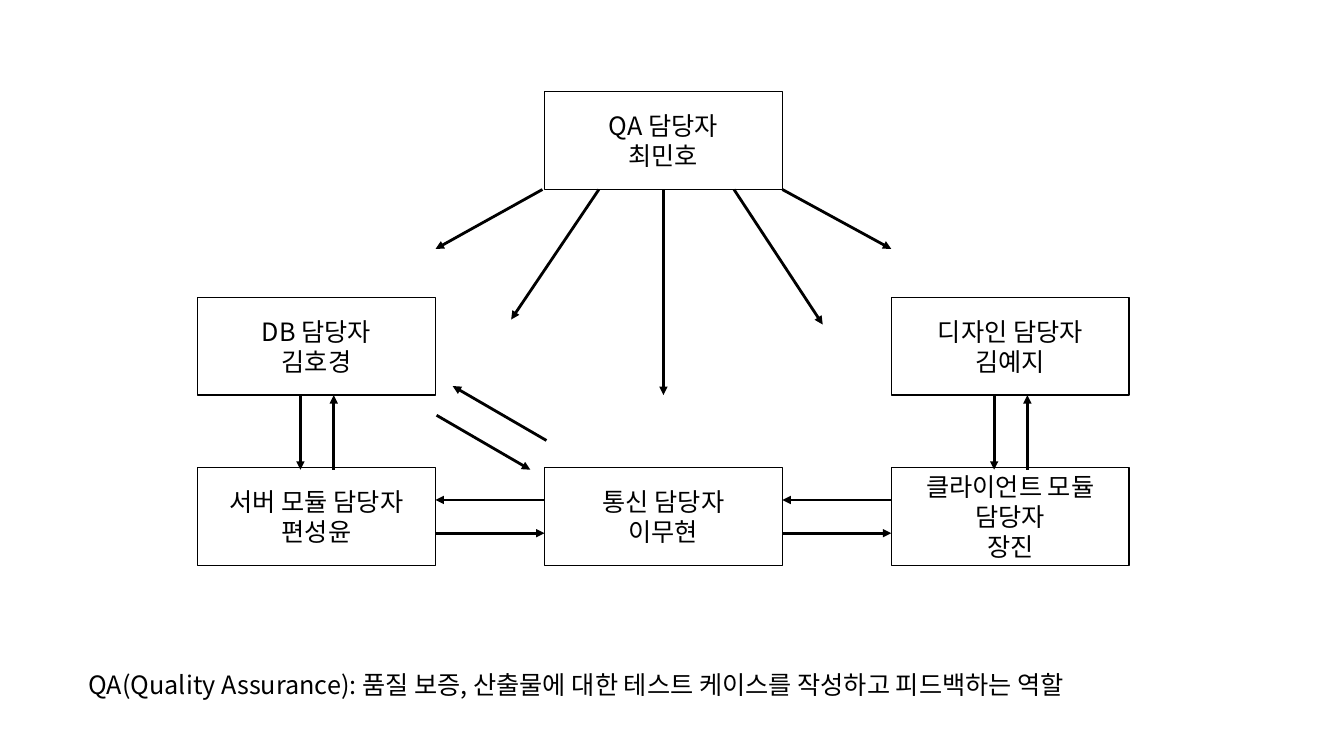
from lxml.etree import SubElement
from pptx import Presentation
from pptx.dml.color import RGBColor
from pptx.enum.shapes import MSO_CONNECTOR, MSO_SHAPE
from pptx.enum.text import MSO_ANCHOR, MSO_AUTO_SIZE, PP_ALIGN
from pptx.oxml.ns import qn
from pptx.util import Pt

SCALE = 9144
FONT = "Noto Sans CJK KR"
BLACK = "000000"
WHITE = "FFFFFF"
COLS = (196, 540, 884)
TOP, MID, LOW = 91, 295, 464
WIDE, HIGH = 236, 97


def px(*sizes):
    return [size * SCALE for size in sizes]


def paint(color, value):
    color.rgb = RGBColor.from_string(value)


def write(frame, text, align):
    frame.word_wrap = True
    frame.text = text
    for para in frame.paragraphs:
        para.alignment = align
        for run in para.runs:
            run.font.size = Pt(18)
            run.font.name = FONT
            paint(run.font.color, BLACK)
            SubElement(run.font._element, qn("a:ea"), typeface=FONT)


def add_box(slide, left, top, text):
    box = slide.shapes.add_shape(MSO_SHAPE.RECTANGLE, *px(left, top, WIDE, HIGH))
    box.shadow.inherit = False
    box.fill.solid()
    paint(box.fill.fore_color, WHITE)
    box.line.width = Pt(1)
    paint(box.line.color, BLACK)
    box.text_frame.vertical_anchor = MSO_ANCHOR.MIDDLE
    write(box.text_frame, text, PP_ALIGN.CENTER)
    return box


def add_arrow(slide, *ends):
    arrow = slide.shapes.add_connector(MSO_CONNECTOR.STRAIGHT, *px(*ends))
    arrow.line.width = Pt(2)
    paint(arrow.line.color, BLACK)
    SubElement(arrow.line._get_or_add_ln(), qn("a:tailEnd"), type="triangle")
    SubElement(arrow._element.spPr, qn("a:effectLst"))
    return arrow


def add_note(slide, left, top, width, height, text):
    note = slide.shapes.add_textbox(*px(left, top, width, height))
    write(note.text_frame, text, PP_ALIGN.LEFT)
    note.text_frame.auto_size = MSO_AUTO_SIZE.SHAPE_TO_FIT_TEXT


def main():
    deck = Presentation()
    deck.slide_width, deck.slide_height = px(1333, 750)
    slide = deck.slides.add_slide(deck.slide_layouts[6])
    left, center, right = COLS

    lead = add_box(slide, center, TOP, "QA 담당자\v최민호")
    for col, row, text in (
        (left, MID, "DB 담당자\v김호경"),
        (right, MID, "디자인 담당자\v김예지"),
        (left, LOW, "서버 모듈 담당자\v편성윤"),
        (center, LOW, "통신 담당자\v이무현"),
        (right, LOW, "클라이언트 모듈 담당자\v장진"),
    ):
        add_box(slide, col, row, text)

    for start, end in ((left + WIDE, center), (center + WIDE, right)):
        add_arrow(slide, end, 496, start, 496)
        add_arrow(slide, start, 529, end, 529)
    for col in (left, right):
        add_arrow(slide, col + 102, MID + HIGH, col + 102, 466)
        add_arrow(slide, col + 135, 466, col + 135, MID + HIGH)
    add_arrow(slide, 542, 437, 449, 383)
    add_arrow(slide, 433, 412, 526, 466)

    base = TOP + HIGH
    for start, end, drop in (
        (538, 432, 247),
        (594, 507, 317),
        (728, 816, 322),
        (776, 884, 247),
    ):
        add_arrow(slide, start, base, end, drop)
    middle = center + WIDE // 2
    add_arrow(slide, middle, base, middle, 392).begin_connect(lead, 2)

    add_note(
        slide, 78, 659, 1232, 40,
        "QA(Quality Assurance): 품질 보증, 산출물에 대한 테스트 케이스를 작성하고 피드백하는 역할",
    )
    deck.save("out.pptx")


if __name__ == "__main__":
    main()
